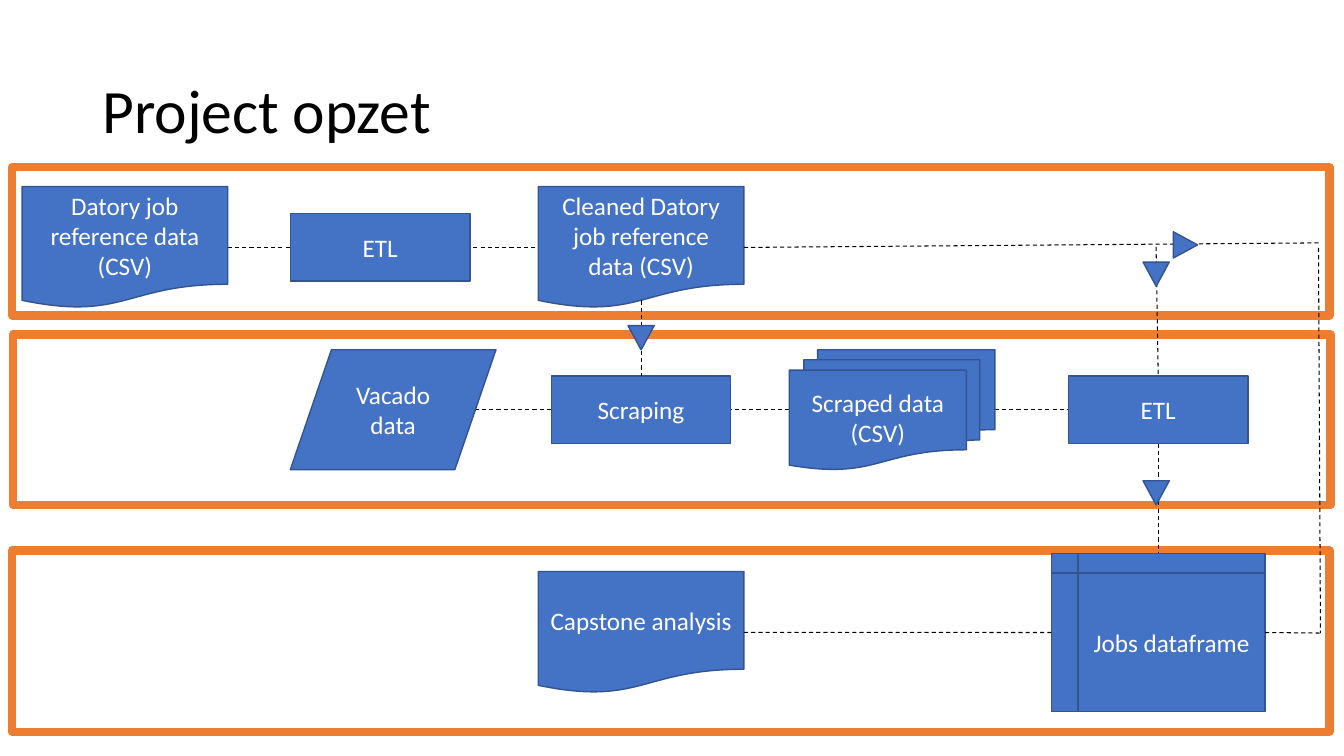
"""Build the project set-up slide: three framed lanes of a data flow."""
from dataclasses import dataclass
from typing import Optional

import lxml.etree
import pptx
import pptx.dml.color
import pptx.enum.dml
import pptx.enum.shapes
import pptx.enum.text
import pptx.oxml.ns
import pptx.util

Pt = pptx.util.Pt
MSO = pptx.enum.shapes.MSO_SHAPE
TOP, LEFT, BOTTOM, RIGHT = range(4)
COLORS = {"frame": "ED7D31", "fill": "4472C4", "edge": "325491",
          "light": "FFFFFF", "dark": "000000"}
FONT = "Calibri"
LABEL = {"name": FONT, "size": Pt(18)}
HEADING = {"name": FONT, "size": Pt(44)}
SIZES = {MSO.FLOWCHART_DOCUMENT: (146.9, 87.1), MSO.FLOWCHART_PROCESS: (128.2, 48.2),
         MSO.FLOWCHART_DATA: (146.9, 85.7), MSO.FLOWCHART_MULTIDOCUMENT: (146.9, 85.7),
         MSO.FLOWCHART_INTERNAL_STORAGE: (152.6, 113), MSO.FLOWCHART_EXTRACT: (18.7, 17.3)}


@dataclass
class Frame:
    """An orange lane outline."""
    x: float
    y: float
    h: float
    w: float = 941


@dataclass
class Node:
    """A flowchart symbol, sized by its kind."""
    kind: MSO
    x: float
    y: float
    text: str = ""
    key: str = ""
    rotation: float = 0


@dataclass
class Link:
    """A dashed line, optionally joined to (node key, side) at each end."""
    x1: float
    y1: float
    x2: float
    y2: float
    begin: Optional[tuple[str, int]] = None
    end: Optional[tuple[str, int]] = None


FRAMES = [Frame(8.6, 119.5, 105.8), Frame(9.4, 239, 121.7), Frame(8.6, 393.1, 129.6)]
BACK_LINKS = [
    Link(162.7, 176.7, 384.5, 176.7, ("raw", RIGHT), ("cleaned", LEFT)),
    Link(339.1, 292.7, 763.2, 292.7, None, ("merge", LEFT)),
]
NODES = [
    Node(MSO.FLOWCHART_DOCUMENT, 15.8, 133.2, "Datory job reference data (CSV)", "raw"),
    Node(MSO.FLOWCHART_DATA, 207.4, 249.8, "Vacado data"),
    Node(MSO.FLOWCHART_PROCESS, 207.4, 152.6, "ETL"),
    Node(MSO.FLOWCHART_MULTIDOCUMENT, 563.8, 249.8, "Scraped data (CSV)"),
    Node(MSO.FLOWCHART_DOCUMENT, 384.5, 133.2,
         "Cleaned Datory job reference data (CSV)", "cleaned"),
    Node(MSO.FLOWCHART_PROCESS, 393.8, 268.6, "Scraping", "scraping"),
    Node(MSO.FLOWCHART_PROCESS, 763.2, 268.6, "ETL", "merge"),
    Node(MSO.FLOWCHART_INTERNAL_STORAGE, 751, 395.3, "Jobs dataframe", "jobs"),
    Node(MSO.FLOWCHART_DOCUMENT, 384.5, 408.2, "Capstone analysis", "capstone"),
]
FRONT_LINKS = [
    Link(457.9, 214.6, 457.9, 268.6, None, ("scraping", TOP)),
    Link(531.4, 176.7, 942.5, 173.5, ("cleaned", RIGHT)),
    Link(825.8, 176.4, 827.3, 268.6, None, ("merge", TOP)),
    Link(941.8, 177.1, 943.2, 452.2),
    Link(903.6, 451.8, 944.6, 452.2, ("jobs", RIGHT)),
    Link(827.3, 316.8, 827.3, 395.3, ("merge", BOTTOM), ("jobs", TOP)),
    Link(531.4, 451.8, 751, 451.8, ("capstone", RIGHT), ("jobs", LEFT)),
]
ARROWS = [
    Node(MSO.FLOWCHART_EXTRACT, 448.6, 232.6, rotation=180),
    Node(MSO.FLOWCHART_EXTRACT, 816.5, 187.2, rotation=180),
    Node(MSO.FLOWCHART_EXTRACT, 837.4, 166.3, rotation=90),
    Node(MSO.FLOWCHART_EXTRACT, 816.5, 343.4, rotation=180),
]


def rgb(name: str) -> pptx.dml.color.RGBColor:
    """Return a named colour."""
    return pptx.dml.color.RGBColor.from_string(COLORS[name])


def set_line(sp, color: str, width: float) -> None:
    """Set outline colour and width."""
    sp.line.color.rgb = rgb(color)
    sp.line.width = Pt(width)


def write(sp, text: str, color: str, fmt: dict):
    """Put one formatted paragraph in a shape and return it."""
    tf = sp.text_frame
    tf.word_wrap = True
    tf.vertical_anchor = pptx.enum.text.MSO_ANCHOR.MIDDLE
    p = tf.paragraphs[0]
    r = p.add_run()
    r.text = text
    for name, value in fmt.items():
        setattr(r.font, name, value)
    r.font.color.rgb = rgb(color)
    return p


def draw_frame(s, frame: Frame) -> None:
    """Draw a lane outline."""
    sp = s.shapes.add_shape(MSO.RECTANGLE, Pt(frame.x), Pt(frame.y), Pt(frame.w), Pt(frame.h))
    sp.shadow.inherit = False
    sp.fill.background()
    set_line(sp, "frame", 6)


def draw_node(s, node: Node):
    """Draw a flowchart symbol and return it."""
    w, h = SIZES[node.kind]
    sp = s.shapes.add_shape(node.kind, Pt(node.x), Pt(node.y), Pt(w), Pt(h))
    sp.shadow.inherit = False
    sp.rotation = node.rotation
    sp.fill.solid()
    sp.fill.fore_color.rgb = rgb("fill")
    set_line(sp, "edge", 1)
    if node.text:
        p = write(sp, node.text, "light", LABEL)
        p.alignment = pptx.enum.text.PP_ALIGN.CENTER
    return sp


def draw_link(s, link: Link):
    """Draw a dashed line and return it."""
    sp = s.shapes.add_connector(pptx.enum.shapes.MSO_CONNECTOR.STRAIGHT,
                                Pt(link.x1), Pt(link.y1), Pt(link.x2), Pt(link.y2))
    set_line(sp, "dark", 0.75)
    sp.line.dash_style = pptx.enum.dml.MSO_LINE.DASH
    lxml.etree.SubElement(sp._element.spPr, pptx.oxml.ns.qn("a:effectLst"))
    return sp


def join(sp, link: Link, nodes: dict) -> None:
    """Attach the ends of a line to its nodes."""
    for target, connect in ((link.begin, sp.begin_connect), (link.end, sp.end_connect)):
        if target:
            key, side = target
            connect(nodes[key], side)


def draw_title(s) -> None:
    """Draw the slide title."""
    sp = s.shapes.add_textbox(Pt(66), Pt(28.8), Pt(828), Pt(104.4))
    write(sp, "Project opzet", "dark", HEADING).line_spacing = 0.9


def main() -> None:
    """Build and save the slide."""
    prs = pptx.Presentation()
    prs.slide_width, prs.slide_height = Pt(960), Pt(540)
    s = prs.slides.add_slide(prs.slide_layouts[6])
    for frame in FRAMES:
        draw_frame(s, frame)
    lines = [(draw_link(s, link), link) for link in BACK_LINKS]
    draw_title(s)
    nodes = {node.key or node.text: draw_node(s, node) for node in NODES}
    lines += [(draw_link(s, link), link) for link in FRONT_LINKS]
    for arrow in ARROWS:
        draw_node(s, arrow)
    for sp, link in lines:
        join(sp, link, nodes)
    prs.save("out.pptx")


if __name__ == "__main__":
    main()
